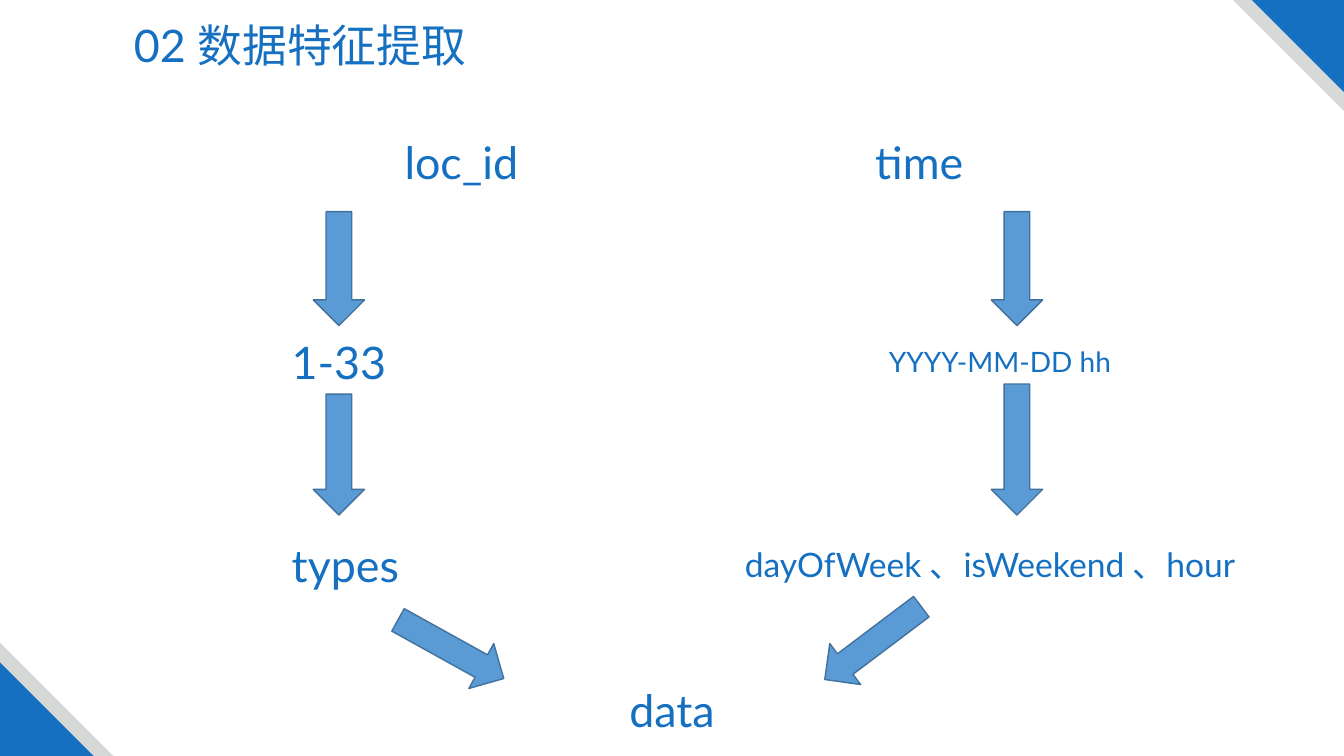
from pptx import Presentation
from pptx import util as u
from pptx.dml.color import RGBColor
from pptx.enum import shapes, text

BLUE = RGBColor(0x15, 0x70, 0xC1)
GREY = RGBColor(0xD7, 0xD8, 0xD8)
ARROW_FILL = RGBColor(0x5B, 0x9B, 0xD5)
ARROW_LINE = RGBColor(0x41, 0x71, 0x9C)


class FlowSlide:
    """Places elements on a grid of 100 columns by 100 rows."""
    font = "Lato"
    arrow_width = 3.82

    def __init__(self, deck):
        self.page = deck.slides.add_slide(deck.slide_layouts[6])
        self.column = deck.slide_width / 100
        self.row = deck.slide_height / 100

    def frame(self, left, top, width, height):
        return (u.Emu(round(left * self.column)), u.Emu(round(top * self.row)),
                u.Emu(round(width * self.column)), u.Emu(round(height * self.row)))

    def preset(self, kind, frame, fill, rotation=0, line=None):
        shape = self.page.shapes.add_shape(kind, *self.frame(*frame))
        shape.shadow.inherit = False
        shape.rotation = rotation
        shape.fill.solid()
        shape.fill.fore_color.rgb = fill
        if line is None:
            shape.line.fill.background()
        else:
            shape.line.color.rgb = line
            shape.line.width = u.Pt(1)

    def corner(self, rows, fill, top_right):
        columns = rows * self.row / self.column
        left, top = (100 - columns, 0) if top_right else (0, 100 - rows)
        self.preset(shapes.MSO_SHAPE.RIGHT_TRIANGLE, (left, top, columns, rows),
                    fill, 180 if top_right else 0)

    def arrow(self, centre, top, height, rotation=0):
        left = centre - self.arrow_width / 2
        self.preset(shapes.MSO_SHAPE.DOWN_ARROW, (left, top, self.arrow_width, height),
                    ARROW_FILL, rotation, ARROW_LINE)

    def label(self, words, centre, top, width=18.2, height=8.53, size=32,
              align=text.PP_ALIGN.CENTER):
        box = self.page.shapes.add_textbox(
            *self.frame(centre - width / 2, top, width, height))
        box.text_frame.word_wrap = True
        para = box.text_frame.paragraphs[0]
        para.alignment = align
        span = para.add_run()
        span.text = words
        style = {"name": self.font, "size": u.Pt(size)}
        for name, value in style.items():
            setattr(span.font, name, value)
        span.font.color.rgb = BLUE


def main():
    deck = Presentation()
    deck.slide_width, deck.slide_height = u.Inches(13.34), u.Inches(7.5)
    slide = FlowSlide(deck)
    place_column, time_column = 25.22, 75.67
    left_align = text.PP_ALIGN.LEFT

    # Corner decoration
    for top_right, outer, inner in ((True, 14.67, 12.2), (False, 15, 12.4)):
        slide.corner(outer, GREY, top_right)
        slide.corner(inner, BLUE, top_right)

    # Title
    slide.label("02 数据特征提取", 22.34, 1.73, width=44.38)

    # Location branch
    slide.label("loc_id", 34.33, 17.2)
    slide.arrow(place_column, 28, 15.07)
    slide.label("1-33", place_column, 43.6)
    slide.arrow(place_column, 52.13, 16)
    slide.label("types", 25.7, 70.53)

    # Time branch
    slide.label("time", 68.4, 17.2)
    slide.arrow(time_column, 28, 15.07)
    slide.label("YYYY-MM-DD hh", time_column, 44.93, 20.54, 5.87, 20, left_align)
    slide.arrow(time_column, 50.8, 17.33)
    slide.label("dayOfWeek 、isWeekend 、hour", time_column, 71.33, 41.98, 12, 24,
                left_align)

    # Both branches meet in the data
    slide.arrow(64.96, 77.07, 16, rotation=53)
    slide.arrow(33.55, 77.87, 16, rotation=299)
    slide.label("data", 50, 89.6)

    deck.save("out.pptx")


if __name__ == "__main__":
    main()
